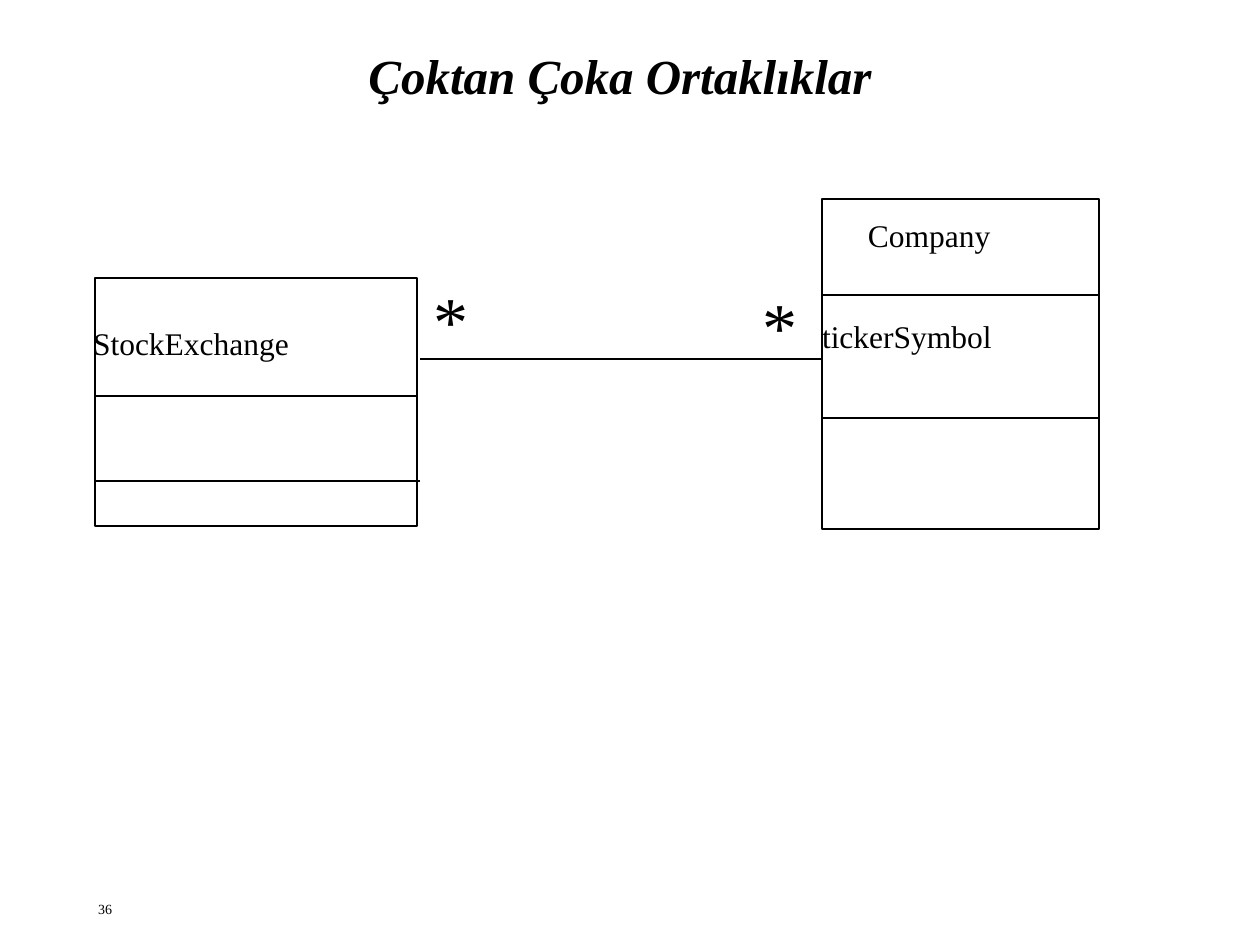
from dataclasses import dataclass

from lxml.etree import SubElement
from pptx import Presentation
from pptx.dml.color import RGBColor
from pptx.enum.shapes import MSO_CONNECTOR, MSO_SHAPE
from pptx.enum.text import MSO_ANCHOR as ANCHOR, PP_ALIGN as ALIGN
from pptx.oxml.ns import qn
from pptx.util import Emu, Pt

# Content: places are left, top, width, height in px
TITLE = ("Çoktan Çoka Ortaklıklar", (58, 30, 1124, 97))
PAGE_NUMBER = ("36", (98, 901, 1042, 25))
CLASSES = [
    {"frame": (95, 278, 322, 248),
     "dividers": [(396, 416), (481, 420)],  # y, right end
     "labels": [("StockExchange", (87, 318, 209, 48))]},
    {"frame": (822, 199, 277, 330),
     "dividers": [(295, 1099), (418, 1099)],
     "labels": [("Company", (862, 210, 136, 48)),
                ("tickerSymbol", (816, 311, 184, 48))]},
]
ASSOCIATION = (420, 822, 359)  # left, right, y
MULTIPLICITIES = [("*", (428, 270, 49, 92)), ("*", (757, 276, 49, 92))]


@dataclass(frozen=True)
class Theme:
    font: str = "Times New Roman"
    ink: RGBColor = RGBColor(0, 0, 0)
    title: int = 28
    label: int = 18
    multiplicity: int = 40
    number: int = 8
    line: int = 1
    inset: int = 6


THEME = Theme()


def px(value):
    return Emu(round(value * 914400 / 126))


def write(shape, text, size, inset=THEME.inset, anchor=ANCHOR.TOP,
          align=ALIGN.LEFT, wrap=False, spacing=None, bold=False, italic=False):
    frame = shape.text_frame
    frame.word_wrap = wrap
    frame.vertical_anchor = anchor
    frame.margin_left = frame.margin_right = px(inset)
    frame.margin_top = frame.margin_bottom = px(inset)
    frame.text = text
    paragraph = frame.paragraphs[0]
    paragraph.alignment = align
    paragraph.line_spacing = spacing
    font = paragraph.runs[0].font
    font.name, font.size, font.color.rgb = THEME.font, Pt(size), THEME.ink
    font.bold, font.italic = bold, italic


def add_label(slide, text, place, size, **options):
    write(slide.shapes.add_textbox(*map(px, place)), text, size, **options)


def ink_line(shape):
    shape.line.color.rgb = THEME.ink
    shape.line.width = Pt(THEME.line)


def add_rule(slide, left, right, y):
    rule = slide.shapes.add_connector(
        MSO_CONNECTOR.STRAIGHT, px(left), px(y), px(right), px(y))
    ink_line(rule)
    SubElement(rule._element.spPr, qn("a:effectLst"))


def add_class(slide, frame, dividers, labels):
    box = slide.shapes.add_shape(MSO_SHAPE.RECTANGLE, *map(px, frame))
    box.shadow.inherit = False
    box.fill.background()
    ink_line(box)
    for y, right in dividers:
        add_rule(slide, frame[0], right, y)
    for text, place in labels:
        add_label(slide, text, place, THEME.label)


def main():
    deck = Presentation()
    deck.slide_width, deck.slide_height = px(1260), px(945)
    slide = deck.slides.add_slide(deck.slide_layouts[5])

    # Title and page number
    text, place = TITLE
    title = slide.shapes.title
    title.left, title.top, title.width, title.height = map(px, place)
    write(title, text, THEME.title, inset=0, anchor=ANCHOR.MIDDLE,
          align=ALIGN.CENTER, wrap=True, spacing=0.9, bold=True, italic=True)
    add_label(slide, *PAGE_NUMBER, THEME.number, inset=0, wrap=True)

    # Classes
    for uml_class in CLASSES:
        add_class(slide, **uml_class)

    # Many-to-many association
    add_rule(slide, *ASSOCIATION)
    for text, place in MULTIPLICITIES:
        add_label(slide, text, place, THEME.multiplicity)

    deck.save("out.pptx")


if __name__ == "__main__":
    main()
